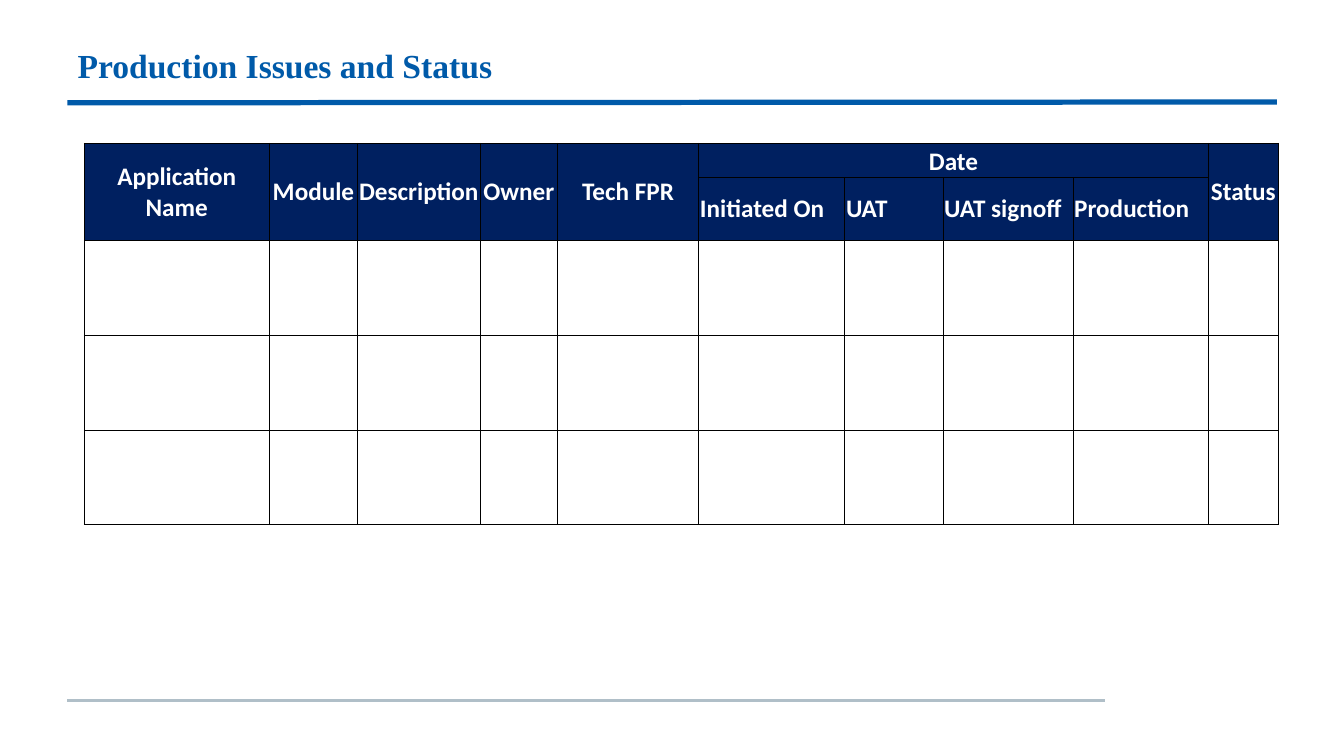
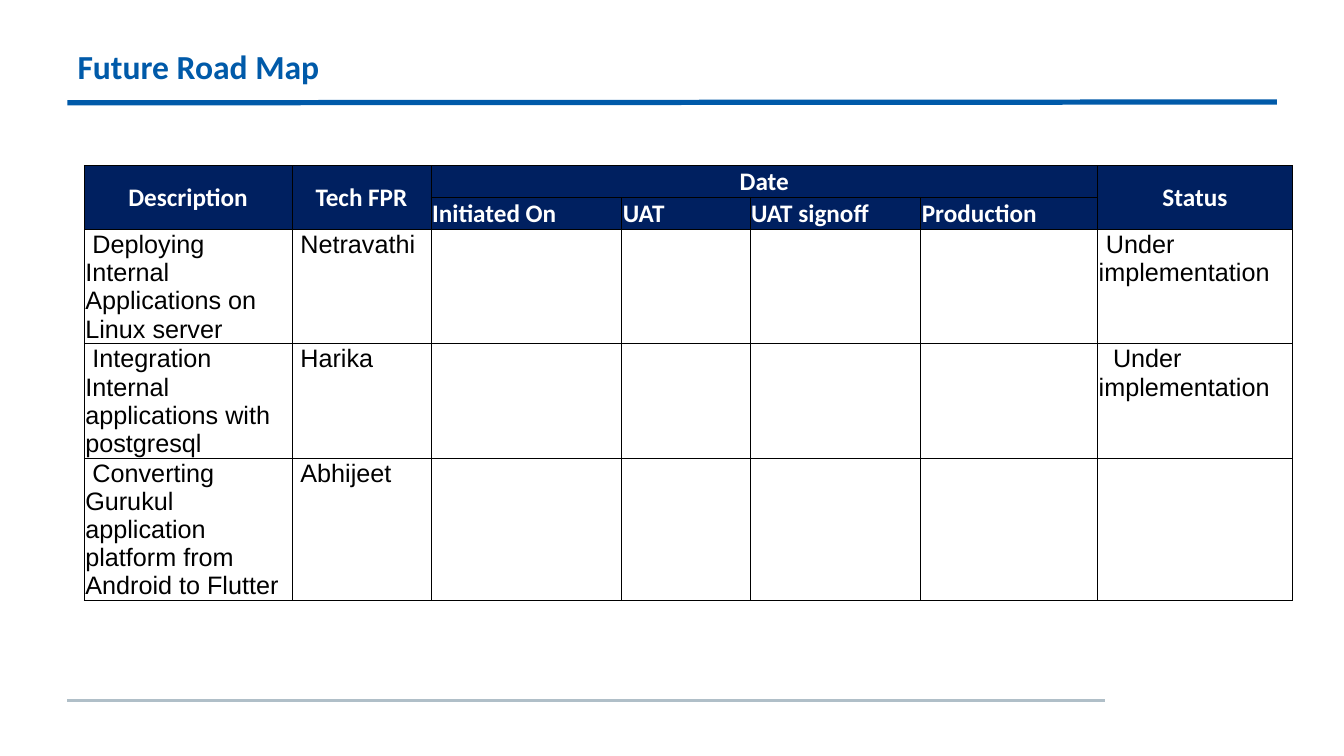
import pptx
import pptx.util
import pptx.oxml
import pptx.oxml.ns
import pptx.dml.color
import pptx.enum.shapes
import pptx.enum.text

Cm = pptx.util.Cm
Pt = pptx.util.Pt
RGB = pptx.dml.color.RGBColor
ALIGN = pptx.enum.text.PP_ALIGN
ANCHOR = pptx.enum.text.MSO_ANCHOR

BLUE = RGB(0x00, 0x5A, 0xA9)
GREY = RGB(0xB0, 0xBF, 0xC8)
NAVY = RGB(0x00, 0x20, 0x60)
WHITE = RGB(0xFF, 0xFF, 0xFF)
BLACK = RGB(0x00, 0x00, 0x00)

HEAD = {"name": "Calibri", "size": Pt(18), "bold": True}
BODY = {"name": "Arial", "size": Pt(18), "bold": False}
TITLE = {"size": Pt(24), "bold": True}
INSET = {"margin_left": Cm(0.03), "margin_right": Cm(0.03),
         "margin_top": Cm(0.03), "margin_bottom": Cm(0)}
DATES = ["Initiated On", "UAT", "UAT signoff", "Production"]
GAP = 0.18

ISSUES = {
    "top": 3.61,
    "cols": [4.67, 2.22, 3.09, 1.95, 3.56, 3.68, 2.47, 3.28, 3.41, 1.77],
    "rows": [0.86, 1.58, 2.39, 2.39, 2.39],
    "heads": ["Application Name", "Module", "Description", "Owner", "Tech FPR"],
    "items": [],
}
PLANS = {
    "top": 4.17,
    "cols": [5.24, 3.5, 4.81, 3.23, 4.3, 4.46, 4.91],
    "rows": [0.79, 0.79, 2.88, 2.88, 3.58],
    "heads": ["Description", "Tech FPR"],
    "items": [
        (2, 0, "Deploying Internal Applications on Linux server", GAP),
        (2, 1, "Netravathi", GAP),
        (2, 6, "Under implementation", GAP),
        (3, 0, "Integration Internal applications with postgresql", GAP),
        (3, 1, "Harika", GAP),
        (3, 6, "Under implementation", 2 * GAP),
        (4, 0, "Converting Gurukul application platform from Android to Flutter", GAP),
        (4, 1, "Abhijeet", GAP),
    ],
}


def apply(item, style):
    for key, value in style.items():
        setattr(item, key, value)


def rule(slide, start, end, color, width):
    kind = pptx.enum.shapes.MSO_CONNECTOR.STRAIGHT
    line = slide.shapes.add_connector(kind, *map(Cm, start + end))
    line.line.color.rgb = color
    line.line.width = Pt(width)
    line._element.spPr.append(pptx.oxml.parse_xml(
        f"<a:effectLst {pptx.oxml.ns.nsdecls('a')}/>"))


def frame(deck, text, font, top, anchor, inset):
    slide = deck.slides.add_slide(deck.slide_layouts[5])
    rule(slide, (1.7, 17.65), (27.84, 17.65), GREY, 2)
    rule(slide, (1.7, 2.59), (32.18, 2.57), BLUE, 3.75)
    title = slide.shapes.title
    apply(title, {"left": Cm(1.7), "top": Cm(top),
                  "width": Cm(30.48), "height": Cm(1.83)})
    box = title.text_frame
    apply(box, {"text": text, "vertical_anchor": anchor,
                "margin_top": Cm(inset), "word_wrap": True})
    para = box.paragraphs[0]
    para.alignment = ALIGN.LEFT
    apply(para.font, {**TITLE, "name": font})
    para.font.color.rgb = BLUE
    return slide


def border(cell):
    props = cell._tc.get_or_add_tcPr()
    for side in "LRTB":
        props.append(pptx.oxml.parse_xml(
            f"<a:ln{side} {pptx.oxml.ns.nsdecls('a')} w='{Pt(0.5)}'>"
            f"<a:solidFill><a:srgbClr val='{BLACK}'/></a:solidFill></a:ln{side}>"))


def paint(cell, color):
    border(cell)
    cell.fill.solid()
    cell.fill.fore_color.rgb = color
    apply(cell, INSET)


def write(cell, text, style, color, align, anchor, indent=0):
    cell.text = text
    cell.vertical_anchor = anchor
    para = cell.text_frame.paragraphs[0]
    para.alignment = align
    if indent:
        para._p.get_or_add_pPr().set("indent", str(Cm(indent)))
    apply(para.font, style)
    para.font.color.rgb = color


def header(table, heads):
    first = len(heads)
    last = first + len(DATES)
    for col, text in [*enumerate(heads), (last, "Status")]:
        cell = table.cell(0, col)
        cell.merge(table.cell(1, col))
        write(cell, text, HEAD, WHITE, ALIGN.CENTER, ANCHOR.MIDDLE)
    cell = table.cell(0, first)
    cell.merge(table.cell(0, last - 1))
    write(cell, "Date", HEAD, WHITE, ALIGN.CENTER, ANCHOR.BOTTOM)
    for col, text in enumerate(DATES, first):
        write(table.cell(1, col), text, HEAD, WHITE, ALIGN.LEFT, ANCHOR.MIDDLE)


def grid(slide, top, cols, rows, heads, items):
    table = slide.shapes.add_table(
        len(rows), len(cols), Cm(2.12), Cm(top),
        Cm(sum(cols)), Cm(sum(rows))).table
    for col, width in zip(table.columns, cols):
        col.width = Cm(width)
    for index, (row, height) in enumerate(zip(table.rows, rows)):
        row.height = Cm(height)
        for cell in row.cells:
            paint(cell, NAVY if index < 2 else WHITE)
    header(table, heads)
    for row, col, text, indent in items:
        write(table.cell(row, col), text, BODY, BLACK,
              ALIGN.LEFT, ANCHOR.TOP, indent)


def main():
    deck = pptx.Presentation()
    apply(deck, {"slide_width": Cm(33.87), "slide_height": Cm(19.05)})
    slide = frame(deck, "Production Issues and Status",
                  "Times New Roman", 1.14, ANCHOR.TOP, 0)
    grid(slide, **ISSUES)
    slide = frame(deck, "Future Road Map", "Calibri", 0.76, ANCHOR.MIDDLE, 0.13)
    grid(slide, **PLANS)
    deck.save("out.pptx")


if __name__ == "__main__":
    main()
